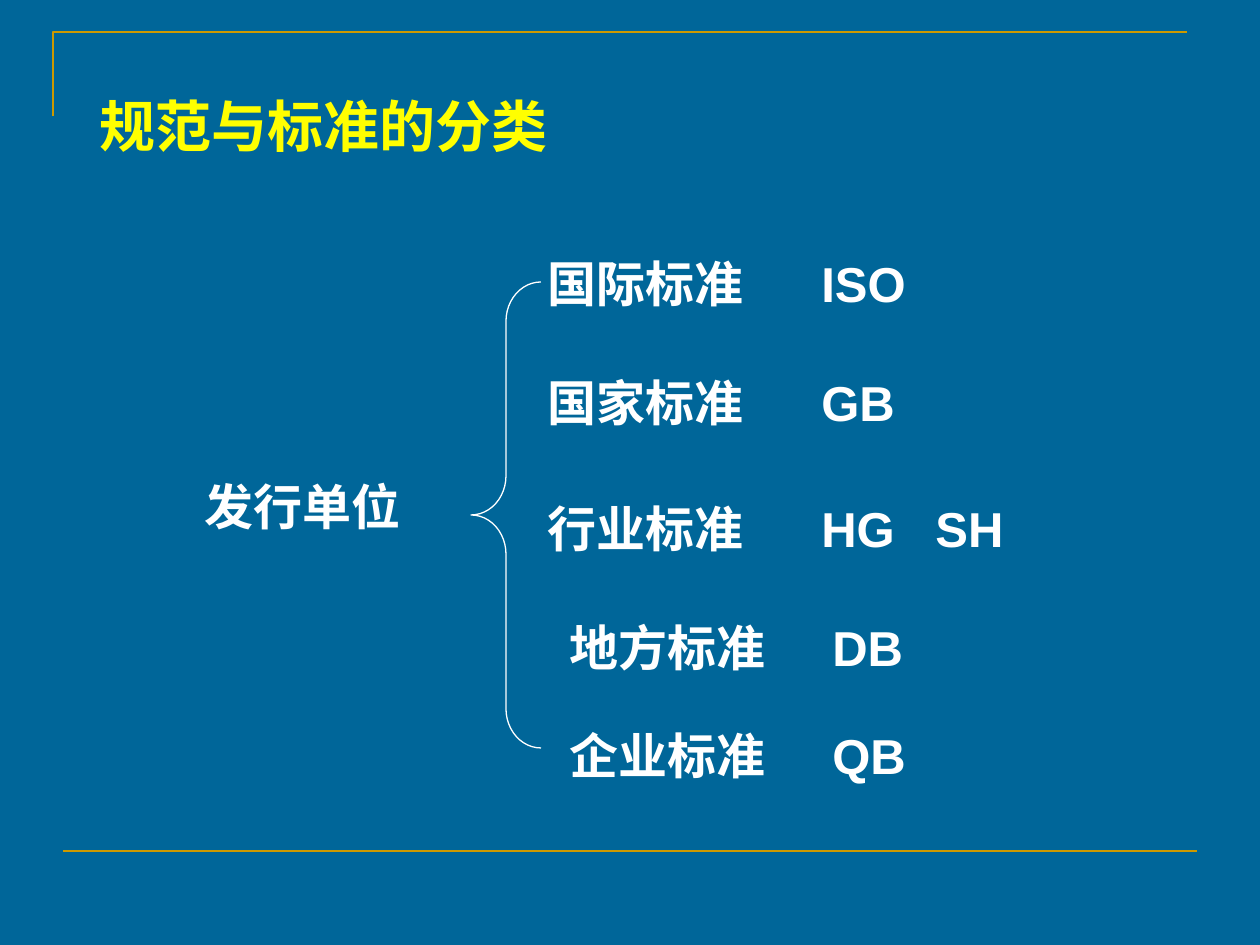
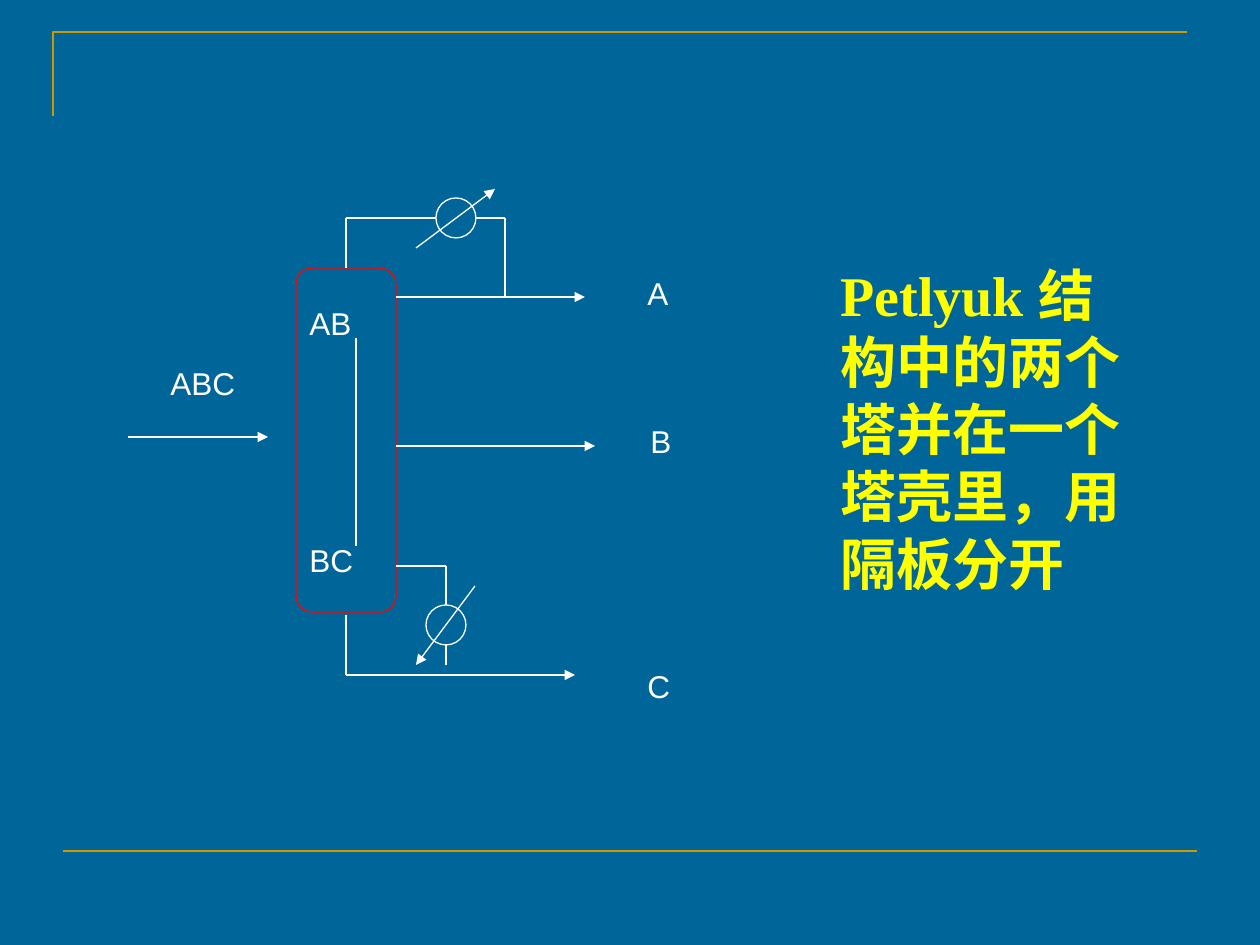
from lxml import etree
from pptx import Presentation
from pptx import util as u
from pptx.dml.color import RGBColor
from pptx.enum import lang, shapes, text
from pptx.oxml.ns import qn

BLUE = RGBColor(0x00, 0x66, 0x99)
GOLD = RGBColor(0xCC, 0x99, 0x00)
YELLOW = RGBColor(0xFF, 0xFF, 0x00)
WHITE = RGBColor(0xFF, 0xFF, 0xFF)
RED = RGBColor(0xFF, 0x00, 0x00)
SCALE = 914400 / 126
GRADES = [
    (64, 0, "国际标准\tISO", (274,)),
    (64, 119, "国家标准\tGB", (274,)),
    (64, 245, "行业标准\tHG\tSH", (274, 388)),
    (86, 364, "地方标准\tDB", (263,)),
    (86, 472, "企业标准\tQB", (263,)),
]
PIPES = [
    (218, 30, 308, 30),
    (347, 30, 377, 30),
    (377, 30, 377, 109),
    (218, 427, 218, 487),
    (268, 378, 318, 378),
    (318, 378, 318, 417),
    (318, 457, 318, 477),
    (228, 150, 228, 358),
]
FLOWS = [
    (0, 249, 140, 249),
    (268, 109, 457, 109),
    (268, 258, 467, 258),
    (218, 487, 447, 487),
    (288, 60, 367, 1),
    (347, 398, 288, 477),
]
COILS = [(308, 10), (298, 417)]
TAGS = [
    (30, 170, "ABC"),
    (169, 110, "AB"),
    (169, 347, "BC"),
    (507, 80, "A"),
    (510, 228, "B"),
    (507, 473, "C"),
]


def px(n):
    return u.Emu(round(n * SCALE))


def write(page, box, words, size, color=WHITE, bold=False,
          face="Arial", wrap=False, stops=()):
    label = page.shapes.add_textbox(*map(px, box))
    frame = label.text_frame
    frame.word_wrap = wrap
    frame.auto_size = text.MSO_AUTO_SIZE.SHAPE_TO_FIT_TEXT
    para = frame.paragraphs[0]
    para.text = words
    if stops:
        tabs = etree.SubElement(para._p.get_or_add_pPr(), qn("a:tabLst"))
        for stop in stops:
            etree.SubElement(tabs, qn("a:tab"), pos=str(px(stop)), algn="l")
    font = para.font
    font.name, font.size, font.bold = face, u.Pt(size), bold
    font.color.rgb = color
    font.language_id = lang.MSO_LANGUAGE_ID.SIMPLIFIED_CHINESE
    return label


def draw(page, kind, box, color=WHITE):
    shape = page.shapes.add_shape(kind, *map(px, box))
    shape.shadow.inherit = False
    shape.fill.background()
    shape.line.color.rgb = color
    shape.line.width = u.Pt(0.75)
    return shape


def link(page, ends, color=WHITE, width=0.75, arrow=False):
    line = page.shapes.add_connector(
        shapes.MSO_CONNECTOR.STRAIGHT, *map(px, ends))
    line.line.color.rgb = color
    line.line.width = u.Pt(width)
    if arrow:
        etree.SubElement(line.line._get_or_add_ln(), qn("a:tailEnd"),
                         type="triangle")
    etree.SubElement(line._element.spPr, qn("a:effectLst"))
    return line


def start(deck):
    page = deck.slides.add_slide(deck.slide_layouts[6])
    fill = page.background.fill
    fill.solid()
    fill.fore_color.rgb = BLUE
    pen = page.shapes.build_freeform(53, 116, scale=SCALE)
    pen.add_line_segments([(53, 32), (1187, 32)], close=False)
    corner = pen.convert_to_shape()
    corner.shadow.inherit = False
    corner.fill.background()
    corner.line.color.rgb = GOLD
    corner.line.width = u.Pt(1.5)
    link(page, (63, 851, 1197, 851), GOLD, 1.5)
    return page


def title(page, box, words):
    label = write(page, box, words, 32, YELLOW, True)
    label.fill.solid()
    label.fill.fore_color.rgb = BLUE


def tree(page, x, y):
    write(page, (x - 279, y + 223, 319, 72), "发行单位", 28, bold=True)
    brace = draw(page, shapes.MSO_SHAPE.LEFT_BRACE, (x, y + 35, 70, 466))
    brace.adjustments[0] = 0.56
    for dx, dy, words, stops in GRADES:
        write(page, (x + dx, y + dy, 600, 72), words, 28,
              bold=True, wrap=True, stops=stops)


def column(page, x, y):
    def shift(ends):
        return [n + d for n, d in zip(ends, (x, y, x, y))]

    tower = draw(page, shapes.MSO_SHAPE.ROUNDED_RECTANGLE,
                 (x + 168, y + 80, 100, 344), RED)
    tower.adjustments[0] = 0.16
    vent = link(page, shift((218, 80, 218, 30)))
    vent.begin_connect(tower, 0)
    for pipe in PIPES:
        link(page, shift(pipe))
    for dx, dy in COILS:
        draw(page, shapes.MSO_SHAPE.FLOWCHART_CONNECTOR,
             (x + dx, y + dy, 40, 40))
    for flow in FLOWS:
        link(page, shift(flow), arrow=True)
    for dx, dy, words in TAGS:
        write(page, (x + dx, y + dy, 110, 50), words, 18)


def main():
    deck = Presentation()
    deck.slide_width, deck.slide_height = px(1260), px(945)
    page = start(deck)
    title(page, (87, 85, 641, 81), "规范与标准的分类")
    tree(page, 471, 247)
    page = start(deck)
    column(page, 128, 188)
    write(page, (828, 254, 325, 416),
          "Petlyuk 结构中的两个塔并在一个塔壳里，用隔板分开",
          32, YELLOW, True, "Times New Roman", True)
    deck.save("out.pptx")


if __name__ == "__main__":
    main()
